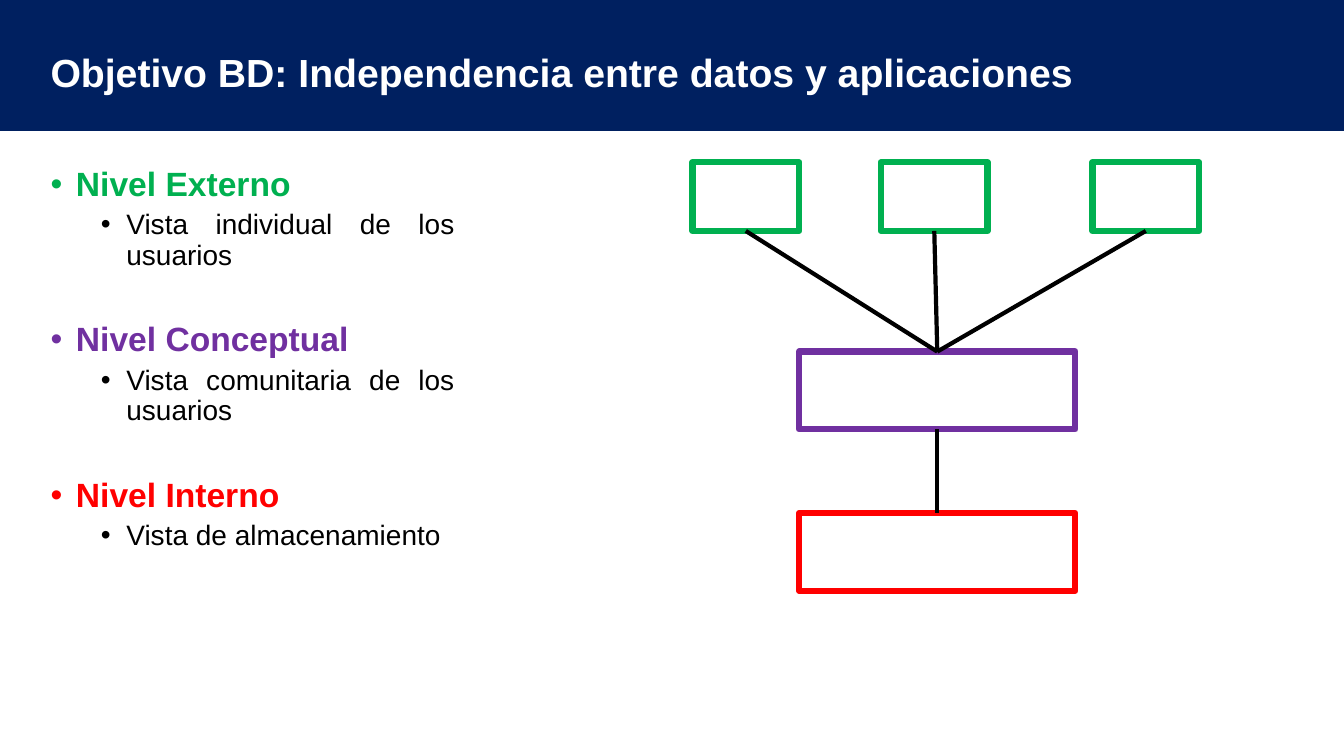
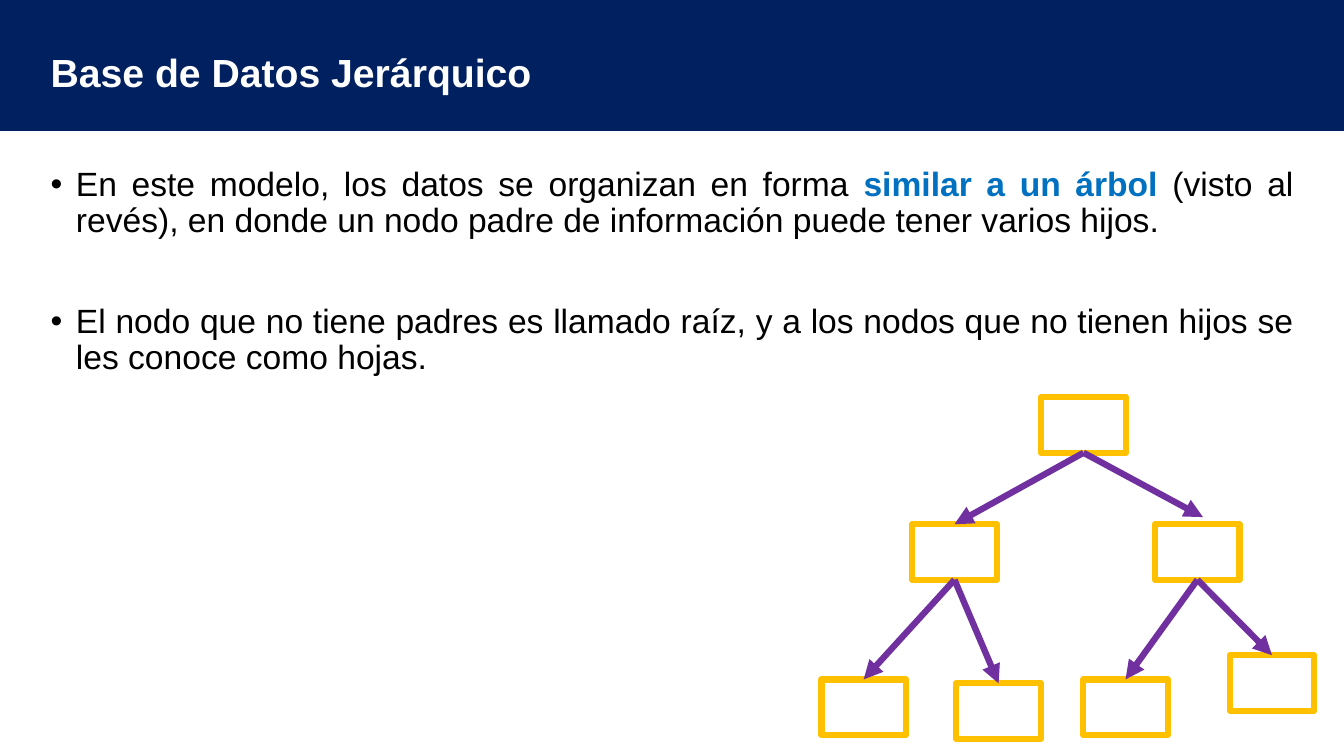
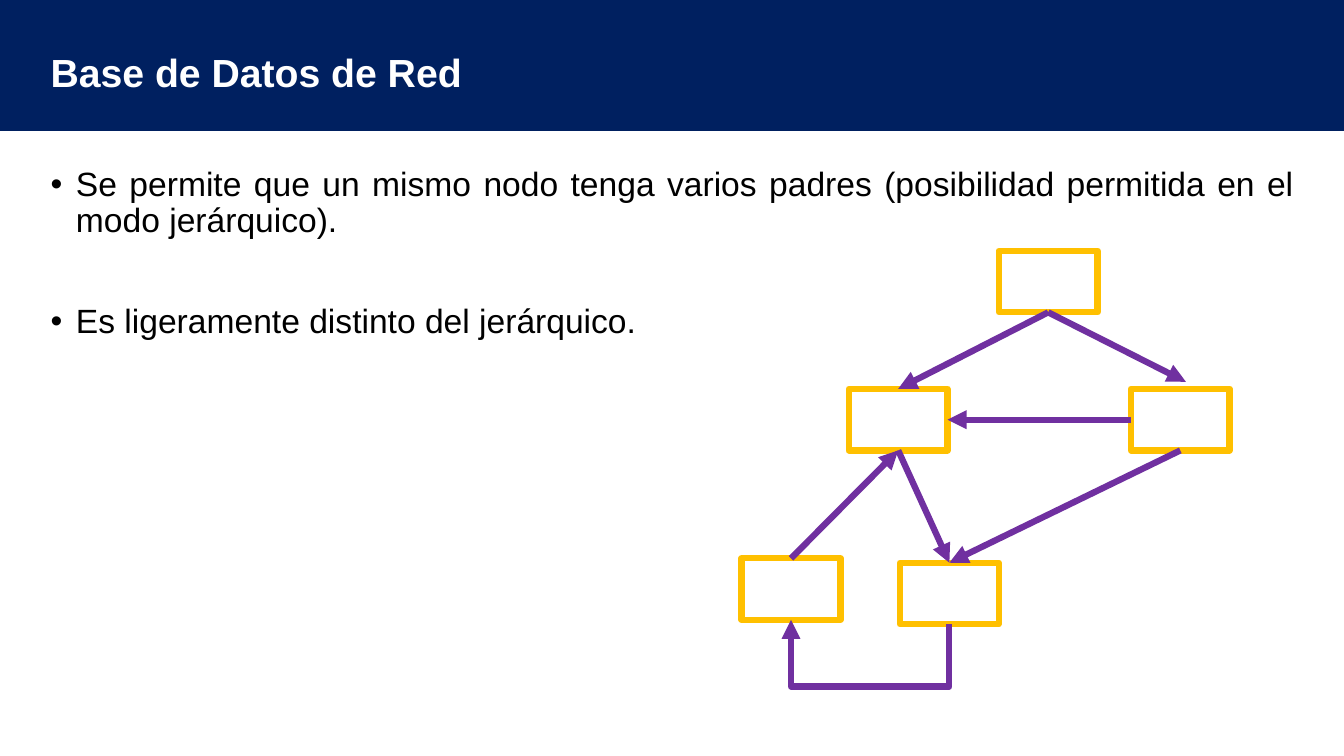
from dataclasses import dataclass

from pptx import Presentation
from pptx.dml.color import RGBColor
from pptx.enum import shapes as sh, text as tx
from pptx.oxml import ns, xmlchemy as xc
from pptx.util import Cm, Pt


@dataclass(frozen=True)
class Theme:
    font: str = "Arial"
    navy: str = "002060"
    white: str = "FFFFFF"
    black: str = "000000"
    green: str = "00B050"
    purple: str = "7030A0"
    red: str = "FF0000"
    blue: str = "0070C0"
    gold: str = "FFC000"
    head: int = 28
    sizes: tuple = (24, 20)
    before: tuple = (10, 5)
    indent: tuple = (0.64, 1.91)
    hang: float = 0.64
    thick: float = 4.5
    thin: float = 3


T = Theme()
WIDE, HIGH = 33.87, 19.05
LEFT, SPAN = 1.02, 31.83
TOP, BOTTOM, START, END = 0, 2, 1, 3
LOOSE = (0.14, -0.18)


def rgb(code):
    return RGBColor.from_string(code)


def add_tag(parent, tag, **attrs):
    node = xc.OxmlElement(tag)
    for key, val in attrs.items():
        node.set(key, str(val))
    parent.append(node)
    return node


def place(shape, x, y, w, h):
    shape.left, shape.top, shape.width, shape.height = map(Cm, (x, y, w, h))


def style(run, size, color, bold):
    font = run.font
    font.name, font.size, font.bold = T.font, Pt(size), bold
    font.color.rgb = rgb(color)


def set_up(deck):
    layout = deck.slide_layouts[1]
    title, body = layout.placeholders[0], layout.placeholders[1]
    place(title, LEFT, 1.27, SPAN, 1.24)
    place(body, LEFT, 4.09, SPAN, 12.09)
    return layout


def add_band(slide, layout):
    band = slide.shapes.add_shape(sh.MSO_SHAPE.RECTANGLE, 0, 0, Cm(WIDE), Cm(3.28))
    band.shadow.inherit = False
    band.fill.solid()
    band.fill.fore_color.rgb = band.line.color.rgb = rgb(T.navy)
    band.line.width = Pt(1)
    band.element.xpath("p:nvSpPr/p:cNvPr")[0].set("id", "20")
    layout.shapes.element.insert(2, band.element)


def add_page(deck, layout, title, items):
    slide = deck.slides.add_slide(layout)
    frame = slide.shapes.title.text_frame
    frame.text = title
    frame.auto_size = tx.MSO_AUTO_SIZE.NONE
    frame.vertical_anchor = tx.MSO_ANCHOR.MIDDLE
    para = frame.paragraphs[0]
    para.alignment = tx.PP_ALIGN.JUSTIFY
    para.line_spacing = 0.9
    style(para.runs[0], T.head, T.white, True)
    add_list(slide.placeholders[1], items)
    return slide


def add_list(body, items):
    frame = body.text_frame
    frame.auto_size = tx.MSO_AUTO_SIZE.NONE
    for i, (level, gap, parts) in enumerate(items):
        para = frame.add_paragraph() if i else frame.paragraphs[0]
        para.level = level
        para.alignment = tx.PP_ALIGN.JUSTIFY
        para.line_spacing = 0.9
        para.space_before = Pt(T.before[level] + gap)
        props = para._p.get_or_add_pPr()
        props.set("marL", str(Cm(T.indent[level])))
        props.set("indent", str(-Cm(T.hang)))
        add_tag(props, "a:buFont", typeface=T.font)
        add_tag(props, "a:buChar", char="•")
        for words, color, bold in parts:
            run = para.add_run()
            run.text = words
            style(run, T.sizes[level], color, bold)


def add_box(slide, x, y, w, h, color):
    box = slide.shapes.add_shape(sh.MSO_SHAPE.RECTANGLE, Cm(x), Cm(y), Cm(w), Cm(h))
    box.shadow.inherit = False
    box.fill.background()
    box.line.color.rgb = rgb(color)
    box.line.width = Pt(T.thick)
    return box


def add_nodes(slide, spots, w, h):
    return [add_box(slide, x, y, w, h, T.gold) for x, y in spots]


def add_line(slide, color, width, kind=sh.MSO_CONNECTOR.STRAIGHT):
    line = slide.shapes.add_connector(kind, 0, 0, 0, 0)
    line.line.color.rgb = rgb(color)
    line.line.width = Pt(width)
    return line


def finish(line, arrow):
    props = line.element.spPr
    if arrow:
        add_tag(props.find(ns.qn("a:ln")), "a:tailEnd", type="triangle")
    add_tag(props, "a:effectLst")


def join(slide, first, last, sites=(BOTTOM, TOP)):
    line = add_line(slide, T.black, T.thin)
    line.begin_connect(first, sites[0])
    line.end_connect(last, sites[1])
    finish(line, False)


def point(slide, first, last, sites=(BOTTOM, TOP), shift=None):
    line = add_line(slide, T.purple, T.thick)
    line.begin_connect(first, sites[0])
    if shift:
        line.end_x = last.left + last.width // 2 + Cm(shift[0])
        line.end_y = last.top + Cm(shift[1])
    else:
        line.end_connect(last, sites[1])
    finish(line, True)


def loop(slide, first, last, drop):
    line = add_line(slide, T.purple, T.thick, sh.MSO_CONNECTOR.ELBOW)
    x0, x1 = (box.left + box.width // 2 for box in (first, last))
    y0, y1 = (box.top + box.height for box in (first, last))
    line.width, line.height = y0 - y1, x0 - x1
    line.left = (x0 + x1 - line.width) // 2
    line.top = (y0 + y1 - line.height) // 2
    frame = line.element.spPr.find(ns.qn("a:xfrm"))
    frame.set("rot", "5400000")
    frame.set("flipH", "1")
    guides = line.element.spPr.find(ns.qn("a:prstGeom")).get_or_add_avLst()
    bend = round(-100000 * Cm(drop) / line.width)
    add_tag(guides, "a:gd", name="adj1", fmla=f"val {bend}")
    finish(line, True)


def plain(words, gap=0):
    return 0, gap, [(words, T.black, False)]


def level_page(deck, layout):
    levels = [
        ("Nivel Externo", T.green, "Vista individual de los usuarios"),
        ("Nivel Conceptual", T.purple, "Vista comunitaria de los usuarios"),
        ("Nivel Interno", T.red, "Vista de almacenamiento"),
    ]
    items = []
    for i, (name, color, view) in enumerate(levels):
        items.append((0, 27 if i else 0, [(name, color, True)]))
        items.append((1, 0, [(view, T.black, False)]))
    slide = add_page(
        deck, layout, "Objetivo BD: Independencia entre datos y aplicaciones", items
    )
    place(slide.placeholders[1], LEFT, 4.09, 10.69, 12.09)
    views = [add_box(slide, x, 4.09, 2.69, 1.73, T.green) for x in (17.45, 22.2, 27.53)]
    concept = add_box(slide, 20.14, 8.86, 6.96, 1.96, T.purple)
    store = add_box(slide, 20.14, 12.93, 6.96, 1.96, T.red)
    for view in views:
        join(slide, view, concept)
    join(slide, concept, store)
    return slide


def tree_page(deck, layout):
    lead = [
        ("En este modelo, los datos se organizan en forma ", T.black, False),
        ("similar a un árbol ", T.blue, True),
        ("(visto al revés), en donde un nodo padre de información "
         "puede tener varios hijos. ", T.black, False),
    ]
    items = [
        (0, 0, lead),
        plain("El nodo que no tiene padres es llamado raíz, y a los nodos "
              "que no tienen hijos se les conoce como hojas.", 36),
    ]
    slide = add_page(deck, layout, "Base de Datos Jerárquico", items)
    spots = [
        (26.24, 10.01), (22.99, 13.21), (29.11, 13.21),
        (20.7, 17.12), (24.1, 17.22), (27.3, 17.12), (30.99, 16.51),
    ]
    nodes = add_nodes(slide, spots, 2.13, 1.4)
    for i, node in enumerate(nodes[1:], 1):
        point(slide, nodes[(i - 1) // 2], node, shift=LOOSE if i == 2 else None)


def net_page(deck, layout):
    items = [
        plain("Se permite que un mismo nodo tenga varios padres "
              "(posibilidad permitida en el modo jerárquico). "),
        plain("Es ligeramente distinto del jerárquico.", 36),
    ]
    slide = add_page(deck, layout, "Base de Datos de Red", items)
    spots = [(25.17, 6.32), (21.39, 9.8), (28.5, 9.8), (18.69, 14.07), (22.68, 14.18)]
    root, west, east, low, leaf = add_nodes(slide, spots, 2.49, 1.55)
    point(slide, root, west)
    point(slide, root, east, shift=LOOSE)
    point(slide, low, west, (TOP, BOTTOM))
    point(slide, west, leaf)
    point(slide, east, leaf)
    point(slide, east, west, (START, END))
    loop(slide, leaf, low, 1.57)


def main():
    deck = Presentation()
    deck.slide_width, deck.slide_height = Cm(WIDE), Cm(HIGH)
    layout = set_up(deck)
    first = level_page(deck, layout)
    add_band(first, layout)
    tree_page(deck, layout)
    net_page(deck, layout)
    deck.save("out.pptx")


main()
